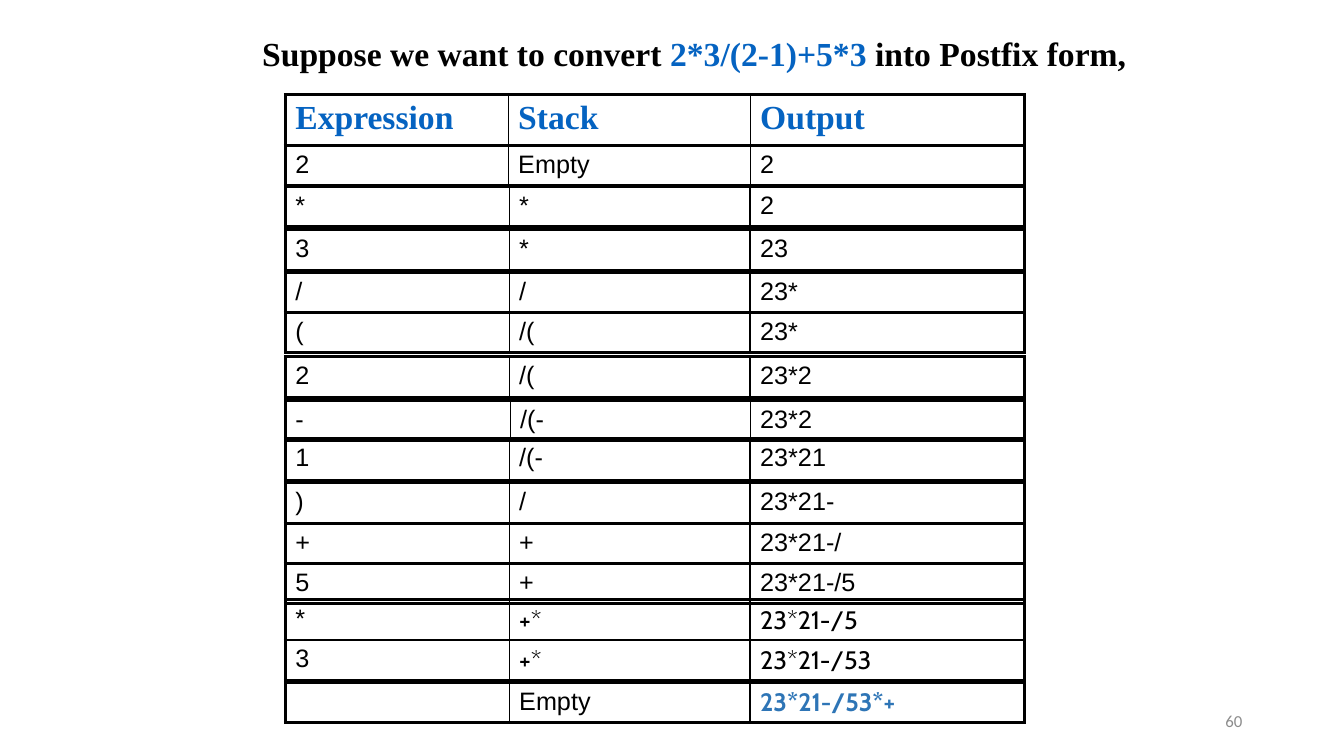
from dataclasses import dataclass

from lxml.etree import SubElement
from pptx import Presentation
from pptx.dml.color import RGBColor
from pptx.enum.text import MSO_ANCHOR, MSO_AUTO_SIZE, PP_ALIGN
from pptx.oxml.ns import qn
from pptx.util import Emu, Pt


@dataclass(frozen=True)
class TextStyle:
    font: str
    size: int
    color: str
    bold: bool = False


@dataclass(frozen=True)
class Theme:
    heading = TextStyle("Times New Roman", 24, "000000", True)
    accent = TextStyle("Times New Roman", 24, "0563C1", True)
    body = TextStyle("Arial", 18, "000000")
    symbols = TextStyle("Cabin", 18, "000000")
    result = TextStyle("Cabin", 18, "2E75B6", True)
    page = TextStyle("Calibri", 12, "8C8C8C")
    border = "000000"
    outer_line = 2.25
    inner_line = 1


THEME = Theme()
TABLE_LEFT, TABLE_WIDTH = 283, 733
OUTPUT_OFFSET = 461  # from the table's left edge to the Output column

HEADER = ("Expression", "Stack", "Output")
PLAIN = (THEME.body,) * 3
SYMBOLIC = (THEME.body, THEME.symbols, THEME.symbols)
FINAL = (THEME.body, THEME.body, THEME.result)

# top, height, width of the Expression column, cell texts, cell styles
STEPS = [
    (94, 50, 221, HEADER, (THEME.accent,) * 3),
    (144, 40, 221, ("2", "Empty", "2"), PLAIN),
    (185, 40, 222, ("*", "*", "2"), PLAIN),
    (228, 40, 222, ("3", "*", "23"), PLAIN),
    (270, 40, 222, ("/", "/", "23*"), PLAIN),
    (310, 40, 222, ("(", "/(", "23*"), PLAIN),
    (354, 40, 222, ("2", "/(", "23*2"), PLAIN),
    (397, 40, 223, ("-", "/(-", "23*2"), PLAIN),
    (435, 42, 222, ("1", "/(-", "23*21"), PLAIN),
    (479, 40, 222, (")", "/", "23*21-"), PLAIN),
    (519, 40, 222, ("+", "+", "23*21-/"), PLAIN),
    (559, 40, 222, ("5", "+", "23*21-/5"), PLAIN),
    (595, 40, 222, ("*", "+*", "23*21-/5"), SYMBOLIC),
    (635, 40, 222, ("3", "+*", "23*21-/53"), SYMBOLIC),
    (677, 40, 222, ("", "Empty", "23*21-/53*+"), FINAL),
]


def px(length):
    """100 px to the inch."""
    return Emu(length * 9144)


def apply_style(font, style):
    font.name = style.font
    font.size = Pt(style.size)
    font.bold = style.bold
    font.color.rgb = RGBColor.from_string(style.color)


def set_borders(cell, widths):
    """Draw the left, right, top and bottom borders of a cell."""
    properties = cell._tc.get_or_add_tcPr()
    for side, width in zip("LRTB", widths):
        line = SubElement(properties, qn(f"a:ln{side}"), w=str(Pt(width)))
        fill = SubElement(line, qn("a:solidFill"))
        SubElement(fill, qn("a:srgbClr"), val=THEME.border)


def add_heading(slide, left, top, width, height):
    heading = slide.shapes.title
    heading.left, heading.top = px(left), px(top)
    heading.width, heading.height = px(width), px(height)
    frame = heading.text_frame
    frame.word_wrap = False
    frame.auto_size = MSO_AUTO_SIZE.NONE
    frame.vertical_anchor = MSO_ANCHOR.MIDDLE
    sentence = frame.paragraphs[0]
    sentence.alignment = PP_ALIGN.LEFT
    for words, style in (
        ("Suppose we want to convert", THEME.heading),
        (" 2*3/(2-1)+5*3 ", THEME.accent),
        ("into Postfix form,", THEME.heading),
    ):
        run = sentence.add_run()
        run.text = words
        apply_style(run.font, style)


def add_step(slide, left, top, width, height, expression_width, texts, styles):
    """Place one step of the conversion as a one-row table."""
    step = slide.shapes.add_table(
        1, len(texts), px(left), px(top), px(width), px(height)
    ).table
    step.first_row = step.horz_banding = False
    column_widths = (
        expression_width,
        OUTPUT_OFFSET - expression_width,
        width - OUTPUT_OFFSET,
    )
    last = len(texts) - 1
    outer, inner = THEME.outer_line, THEME.inner_line
    for index, (text, style) in enumerate(zip(texts, styles)):
        step.columns[index].width = px(column_widths[index])
        cell = step.cell(0, index)
        cell.text = text
        apply_style(cell.text_frame.paragraphs[0].font, style)
        set_borders(cell, (
            outer if index == 0 else inner,
            outer if index == last else inner,
            outer,
            outer,
        ))
        cell.fill.background()


def add_page_number(slide, left, top, width, height):
    box = slide.shapes.add_textbox(px(left), px(top), px(width), px(height))
    frame = box.text_frame
    frame.word_wrap = True
    frame.vertical_anchor = MSO_ANCHOR.MIDDLE
    number = frame.paragraphs[0]
    number.text = "60"
    number.alignment = PP_ALIGN.RIGHT
    apply_style(number.font, THEME.page)


def main():
    deck = Presentation()
    deck.slide_width, deck.slide_height = px(1333), px(750)
    slide = deck.slides.add_slide(deck.slide_layouts[5])

    # Heading and page number
    add_heading(slide, 250, 28, 885, 50)
    add_page_number(slide, 942, 695, 300, 40)

    # Conversion steps, from the column headings to the final result
    for top, height, expression_width, texts, styles in STEPS:
        add_step(slide, TABLE_LEFT, top, TABLE_WIDTH, height,
                 expression_width, texts, styles)

    deck.save("out.pptx")


if __name__ == "__main__":
    main()
